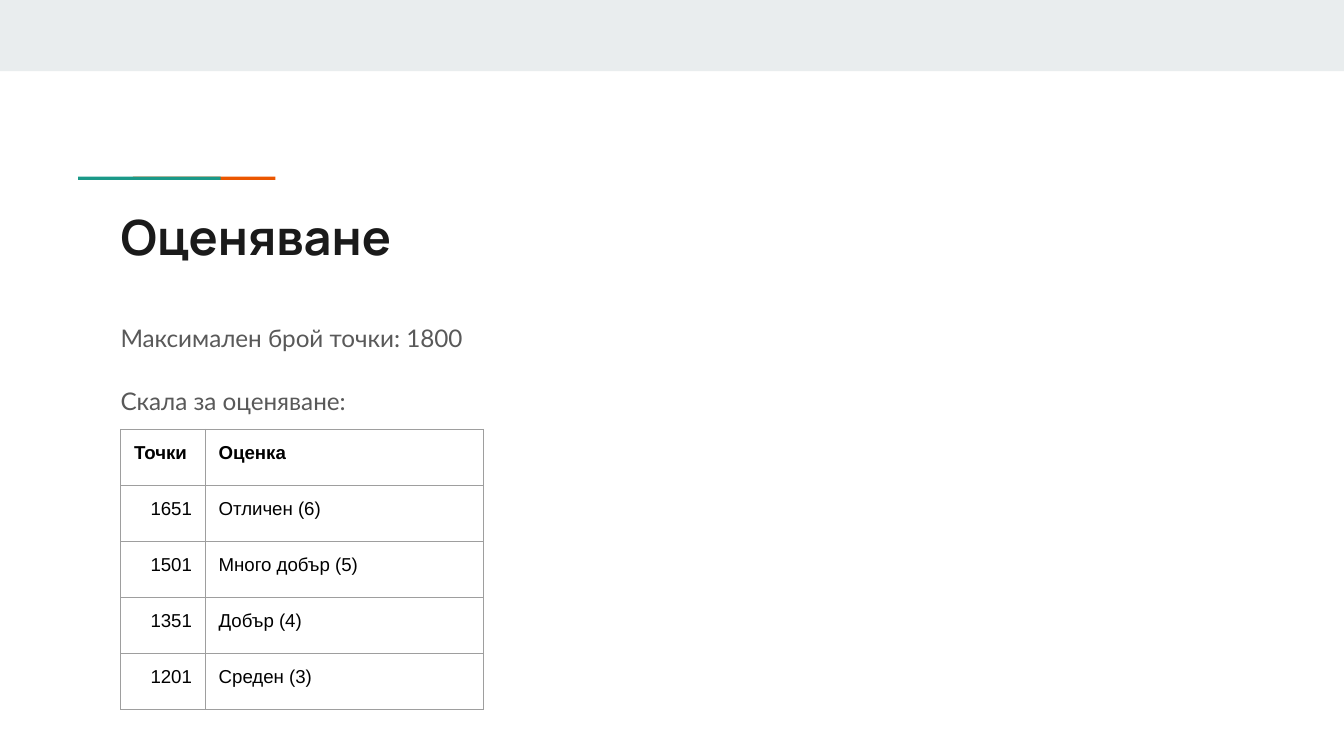
from lxml import etree
from pptx import Presentation
from pptx.dml.color import RGBColor
from pptx.enum.shapes import MSO_SHAPE
from pptx.enum.text import MSO_ANCHOR, MSO_AUTO_SIZE, PP_ALIGN
from pptx.oxml.ns import qn
from pptx.util import Pt

RECT = MSO_SHAPE.RECTANGLE
TOP = MSO_ANCHOR.TOP
NO_FIT = MSO_AUTO_SIZE.NONE
LEFT, RIGHT = PP_ALIGN.LEFT, PP_ALIGN.RIGHT

TITLE = "Оценяване"
BODY = ["Максимален брой точки: 1800", "Скала за оценяване:"]
GRADES = [
    ("Точки", "Оценка"),
    ("1651", "Отличен (6)"),
    ("1501", "Много добър (5)"),
    ("1351", "Добър (4)"),
    ("1201", "Среден (3)"),
]

THEME = {
    "band": "E9EDEE",
    "orange": "EB5600",
    "green": "1A9988",
    "border": "9E9E9E",
    "title": {"name": "Manrope", "size": 26, "bold": True, "color": "1A1A1A"},
    "body": {"name": "Lato", "size": 13, "bold": False, "color": "595959"},
    "cell": {"name": "Arial", "size": 10, "bold": False, "color": "000000"},
}

SLIDE_W, SLIDE_H = 720, 405
INSET = 7.2
TEXT_X, TEXT_W = 57.5, 605.5
TITLE_Y, TITLE_H = 103.7, 42.5
BODY_Y, BODY_H = 163.4, 178
ACCENT_X, ACCENT_Y, ACCENT_STEP = 41.8, 94.6, 29.4
ACCENT_W, ACCENT_H = 76.4, 1.8
TABLE_X, TABLE_Y, ROW_H = 64.7, 230.1, 30
COL_W = [45.3, 149.2]
BORDER_W = 0.75


def rgb(value):
    return RGBColor.from_string(value)


def add_bar(s, x, y, w, h, color):
    sp = s.shapes.add_shape(RECT, Pt(x), Pt(y), Pt(w), Pt(h))
    sp.shadow.inherit = False
    sp.fill.solid()
    sp.fill.fore_color.rgb = rgb(color)
    sp.line.fill.background()


def set_insets(obj):
    for side in ("left", "right", "top", "bottom"):
        setattr(obj, f"margin_{side}", Pt(INSET))


def write(p, text, style, align=LEFT, **extra):
    p.alignment = align
    r = p.add_run()
    r.text = text
    look = {**style, **extra}
    r.font.color.rgb = rgb(look.pop("color"))
    look["size"] = Pt(look["size"])
    for name, value in look.items():
        setattr(r.font, name, value)


def prepare_frame(sp):
    tf = sp.text_frame
    tf.word_wrap = True
    tf.auto_size = NO_FIT
    tf.vertical_anchor = TOP
    set_insets(tf)
    return tf


def add_borders(cell):
    tc_pr = cell._tc.get_or_add_tcPr()
    for i, tag in enumerate(("a:lnL", "a:lnR", "a:lnT", "a:lnB")):
        ln = etree.Element(qn(tag), w=str(Pt(BORDER_W)))
        fill = etree.SubElement(ln, qn("a:solidFill"))
        etree.SubElement(fill, qn("a:srgbClr"), val=THEME["border"])
        tc_pr.insert(i, ln)


def add_grades(s):
    frame = s.shapes.add_table(
        len(GRADES), len(COL_W), Pt(TABLE_X), Pt(TABLE_Y),
        Pt(sum(COL_W)), Pt(ROW_H * len(GRADES)))
    table = frame.table
    table.horz_banding = False
    for column, width in zip(table.columns, COL_W):
        column.width = Pt(width)
    for i, row in enumerate(GRADES):
        table.rows[i].height = Pt(ROW_H)
        for j, text in enumerate(row):
            cell = table.cell(i, j)
            set_insets(cell)
            cell.vertical_anchor = TOP
            cell.fill.background()
            add_borders(cell)
            align = RIGHT if i > 0 and j == 0 else LEFT
            write(cell.text_frame.paragraphs[0], text, THEME["cell"], align, bold=i == 0)


def main():
    prs = Presentation()
    prs.slide_width, prs.slide_height = Pt(SLIDE_W), Pt(SLIDE_H)
    s = prs.slides.add_slide(prs.slide_layouts[5])

    add_bar(s, 0, 0, SLIDE_W, 38.2, THEME["band"])
    for step, color in ((1, "orange"), (0, "green")):
        add_bar(s, ACCENT_X + step * ACCENT_STEP, ACCENT_Y, ACCENT_W, ACCENT_H, THEME[color])

    title = s.shapes.title
    title.left, title.top = Pt(TEXT_X), Pt(TITLE_Y)
    title.width, title.height = Pt(TEXT_W), Pt(TITLE_H)
    write(prepare_frame(title).paragraphs[0], TITLE, THEME["title"])

    body = s.shapes.add_textbox(Pt(TEXT_X), Pt(BODY_Y), Pt(TEXT_W), Pt(BODY_H))
    tf = prepare_frame(body)
    for i, text in enumerate(BODY):
        p = tf.add_paragraph() if i else tf.paragraphs[0]
        p.line_spacing = 1.15
        p.space_before = Pt(16 if i else 0)
        write(p, text, THEME["body"])

    add_grades(s)
    prs.save("out.pptx")


if __name__ == "__main__":
    main()
